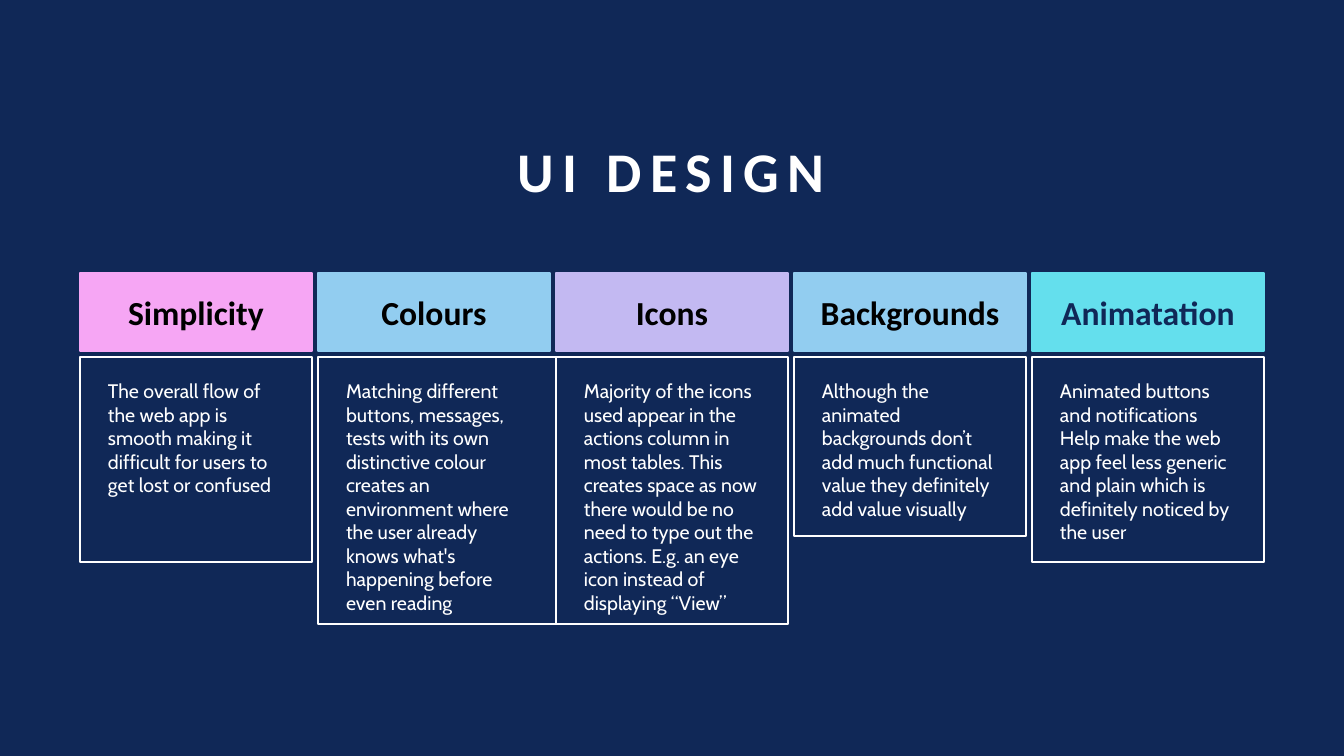
from collections import namedtuple
from dataclasses import dataclass

from pptx import Presentation
from pptx.dml.color import RGBColor
from pptx.enum.shapes import MSO_SHAPE
from pptx.enum.text import MSO_ANCHOR, MSO_AUTO_SIZE, PP_ALIGN
from pptx.util import Emu, Pt

EMU_PER_PX = 914400 / 100.8

Box = namedtuple("Box", "left top width height")
Card = namedtuple("Card", "heading color text height ink extra_width", defaults=("000000", 0))


@dataclass(frozen=True)
class Theme:
    """Colours, fonts and type sizes of the deck."""

    navy: str = "102857"
    white: str = "FFFFFF"
    heading_font: str = "Calibri"
    body_font: str = "Cabin"
    title_size: int = 40
    heading_size: int = 24
    body_size: int = 14
    title_spacing: int = 6
    line_width: int = 1


THEME = Theme()

CARDS = [
    Card("Simplicity", "F6A6F4",
         "The overall flow of the web app is smooth making it difficult for users "
         "to get lost or confused", 205),
    Card("Colours", "92CDF0",
         "Matching different buttons, messages, tests with its own distinctive colour "
         "creates an environment where the user already knows what's happening before "
         "even reading", 267, extra_width=6),
    Card("Icons", "C3B9F2",
         "Majority of the icons used appear in the actions column in most tables. This "
         "creates space as now there would be no need to type out the actions. E.g. an "
         "eye icon instead of displaying “View”", 267),
    Card("Backgrounds", "92CDF0",
         "Although the animated backgrounds don’t add much functional value they "
         "definitely add value visually", 179),
    Card("Animatation", "64DFED",
         "Animated buttons and notifications Help make the web app feel less generic "
         "and plain which is definitely noticed by the user", 205, ink=THEME.navy),
]


def px(length):
    """Turn pixels into EMU."""
    return Emu(round(length * EMU_PER_PX))


def apply(target, **values):
    """Set each named attribute on the target."""
    for name, value in values.items():
        setattr(target, name, value)


def write(frame, text, align, color, **font):
    """Fill a text frame with one styled run and return it."""
    apply(frame, word_wrap=True, auto_size=MSO_AUTO_SIZE.NONE)
    para = frame.paragraphs[0]
    para.alignment = align
    span = para.add_run()
    span.text = text
    apply(span.font, **font)
    span.font.color.rgb = RGBColor.from_string(color)
    return span


def add_panel(page, box, line, fill=None):
    """Draw an outlined rectangle and return its text frame."""
    panel = page.shapes.add_shape(MSO_SHAPE.RECTANGLE, *map(px, box))
    panel.shadow.inherit = False
    if fill:
        panel.fill.solid()
        panel.fill.fore_color.rgb = RGBColor.from_string(fill)
    else:
        panel.fill.background()
    panel.line.color.rgb = RGBColor.from_string(line)
    panel.line.width = Pt(THEME.line_width)
    return panel.text_frame


def add_title(page, box, text):
    """Place and format the title placeholder."""
    title = page.shapes.title
    apply(title, **{name: px(value) for name, value in box._asdict().items()})
    frame = title.text_frame
    frame.vertical_anchor = MSO_ANCHOR.BOTTOM
    span = write(frame, text, PP_ALIGN.CENTER, THEME.white,
                 name=THEME.heading_font, size=Pt(THEME.title_size), bold=True)
    span._r.get_or_add_rPr().set("spc", str(THEME.title_spacing * 100))
    frame.paragraphs[0].line_spacing = 0.9


def add_card(page, box, card):
    """Draw a coloured heading with an outlined description below it."""
    heading_height, gap = 78, 6
    heading = add_panel(page, box._replace(height=heading_height), card.color, card.color)
    heading.vertical_anchor = MSO_ANCHOR.MIDDLE
    write(heading, card.heading, PP_ALIGN.CENTER, card.ink,
          name=THEME.heading_font, size=Pt(THEME.heading_size), bold=True)

    body_box = Box(box.left, box.top + heading_height + gap,
                   box.width + card.extra_width, card.height)
    body = add_panel(page, body_box, THEME.white)
    apply(body, vertical_anchor=MSO_ANCHOR.TOP, margin_left=px(28), margin_top=px(22),
          margin_right=px(30), margin_bottom=px(5))
    write(body, card.text, PP_ALIGN.LEFT, THEME.white,
          name=THEME.body_font, size=Pt(THEME.body_size))


def add_cards(page, box, cards, gap):
    """Spread the cards evenly across the box."""
    width = (box.width - gap * (len(cards) - 1)) / len(cards)
    for index, card in enumerate(cards):
        left = box.left + index * (width + gap)
        add_card(page, Box(left, box.top, width, box.height), card)


def build_design_slide(deck):
    """Add the slide with a title above five cards."""
    page = deck.slides.add_slide(deck.slide_layouts.get_by_name("Title Only"))
    page.background.fill.solid()
    page.background.fill.fore_color.rgb = RGBColor.from_string(THEME.navy)
    add_title(page, Box(182, 92, 979, 118), "UI DESIGN")
    add_cards(page, Box(80, 273, 1184, 351), CARDS, gap=6)


def main():
    """Build and save the deck."""
    deck = Presentation()
    apply(deck, slide_width=px(1344), slide_height=px(756))
    build_design_slide(deck)
    deck.save("out.pptx")


if __name__ == "__main__":
    main()
